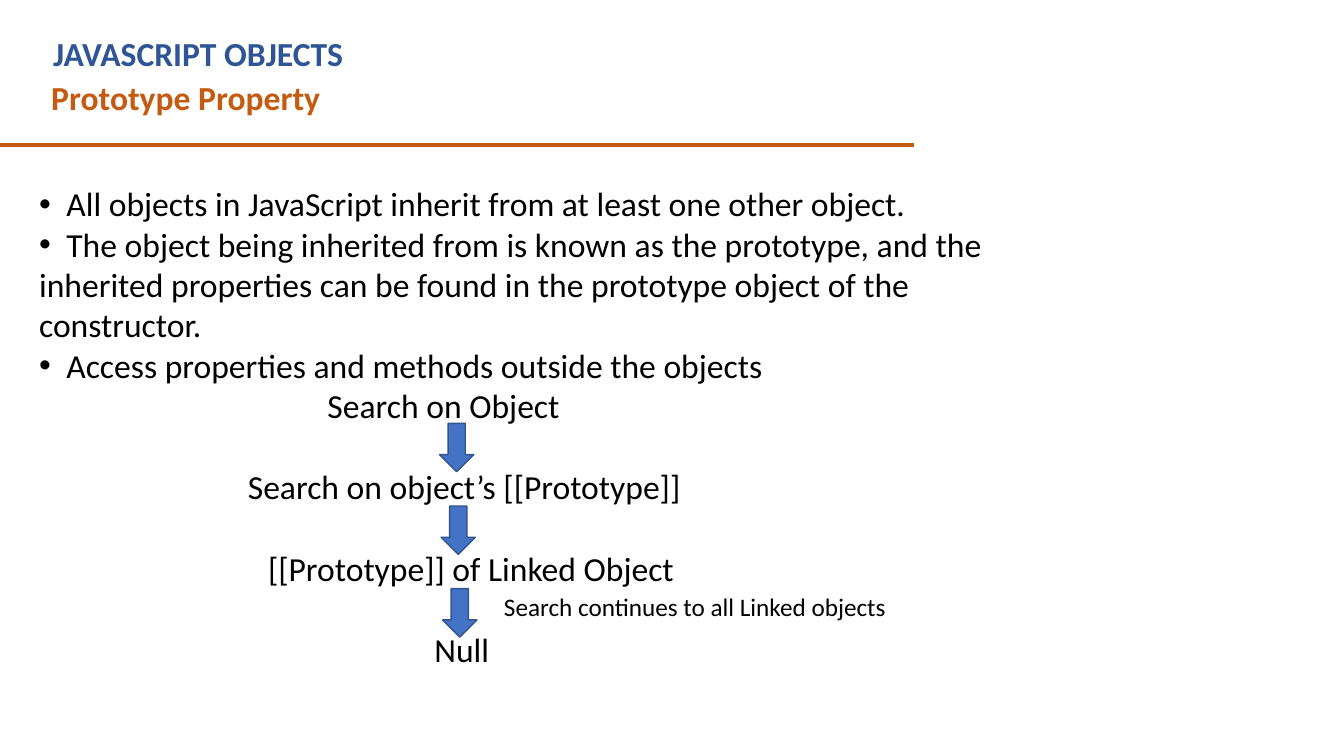
"""Build the slide on the JavaScript prototype property."""
from lxml import etree
from pptx import Presentation
from pptx.dml.color import RGBColor
from pptx.enum.shapes import MSO_CONNECTOR, MSO_SHAPE
from pptx.oxml.ns import qn
from pptx.util import Inches, Pt

STRAIGHT = MSO_CONNECTOR.STRAIGHT
DOWN_ARROW = MSO_SHAPE.DOWN_ARROW
BLUE, ORANGE, BLACK = "2F5597", "C55A11", "000000"
ARROW_FILL, ARROW_LINE = "4472C4", "325491"


def rgb(color):
    return RGBColor.from_string(color)


def add_text(slide, box, texts, size, color, bold=False):
    tf = slide.shapes.add_textbox(*[Inches(v) for v in box]).text_frame
    tf.word_wrap = True
    tf.text = "\n".join(texts)
    for p in tf.paragraphs:
        p.font.name = "Calibri"
        p.font.size = Pt(size)
        p.font.bold = bold
        p.font.color.rgb = rgb(color)
    return tf


prs = Presentation()
prs.slide_width, prs.slide_height = Inches(13.33), Inches(7.5)
s = prs.slides.add_slide(prs.slide_layouts[6])

add_text(s, (0.43, 0.28, 8.2, 0.5), ["JAVASCRIPT OBJECTS"], 24, BLUE, True)
add_text(s, (0.41, 0.71, 8.75, 0.5), ["Prototype Property"], 24, ORANGE, True)

rule = s.shapes.add_connector(STRAIGHT, 0, Inches(1.44), Inches(9.07), Inches(1.44))
rule.line.color.rgb = rgb(ORANGE)
rule.line.width = Pt(3)
etree.SubElement(rule._element.spPr, qn("a:effectLst"))

points = [
    "All objects in JavaScript inherit from at least one other object.",
    "The object being inherited from is known as the prototype, and the inherited "
    "properties can be found in the prototype object of the constructor.",
    "Access properties and methods outside the objects",
]
steps = [
    ("Search on Object", 2.86, 0),
    ("Search on object’s [[Prototype]]", 2.07, 29.3),
    ("[[Prototype]] of Linked Object", 2.27, 29.3),
    ("Null", 3.92, 29.3),
]
texts = ["\t" + point for point in points] + [step[0] for step in steps]
tf = add_text(s, (0.29, 1.77, 9.84, 5.35), texts, 24, BLACK)

for p in tf.paragraphs[:len(points)]:
    pPr = p._p.get_or_add_pPr()
    pPr.set("marL", "0")
    pPr.set("indent", "0")
    font = etree.Element(qn("a:buFont"), typeface="Arial")
    bullet = etree.Element(qn("a:buChar"), char="•")
    tabs = etree.Element(qn("a:tabLst"))
    etree.SubElement(tabs, qn("a:tab"), pos=str(Inches(0.27)), algn="l")
    for i, element in enumerate((font, bullet, tabs)):
        pPr.insert(i, element)

for p, (text, left, gap) in zip(tf.paragraphs[len(points):], steps):
    p._p.get_or_add_pPr().set("marL", str(Inches(left)))
    p.space_before = Pt(gap)

add_text(s, (4.9, 5.82, 5.15, 0.4), ["Search continues to all Linked objects"], 18, BLACK)

for i in range(len(steps) - 1):
    arrow = s.shapes.add_shape(DOWN_ARROW, Inches(4.36 + 0.015 * i), Inches(4.2 + 0.82 * i),
                               Inches(0.34), Inches(0.48))
    arrow.shadow.inherit = False
    arrow.fill.solid()
    arrow.fill.fore_color.rgb = rgb(ARROW_FILL)
    arrow.line.color.rgb = rgb(ARROW_LINE)
    arrow.line.width = Pt(1)

prs.save("out.pptx")
